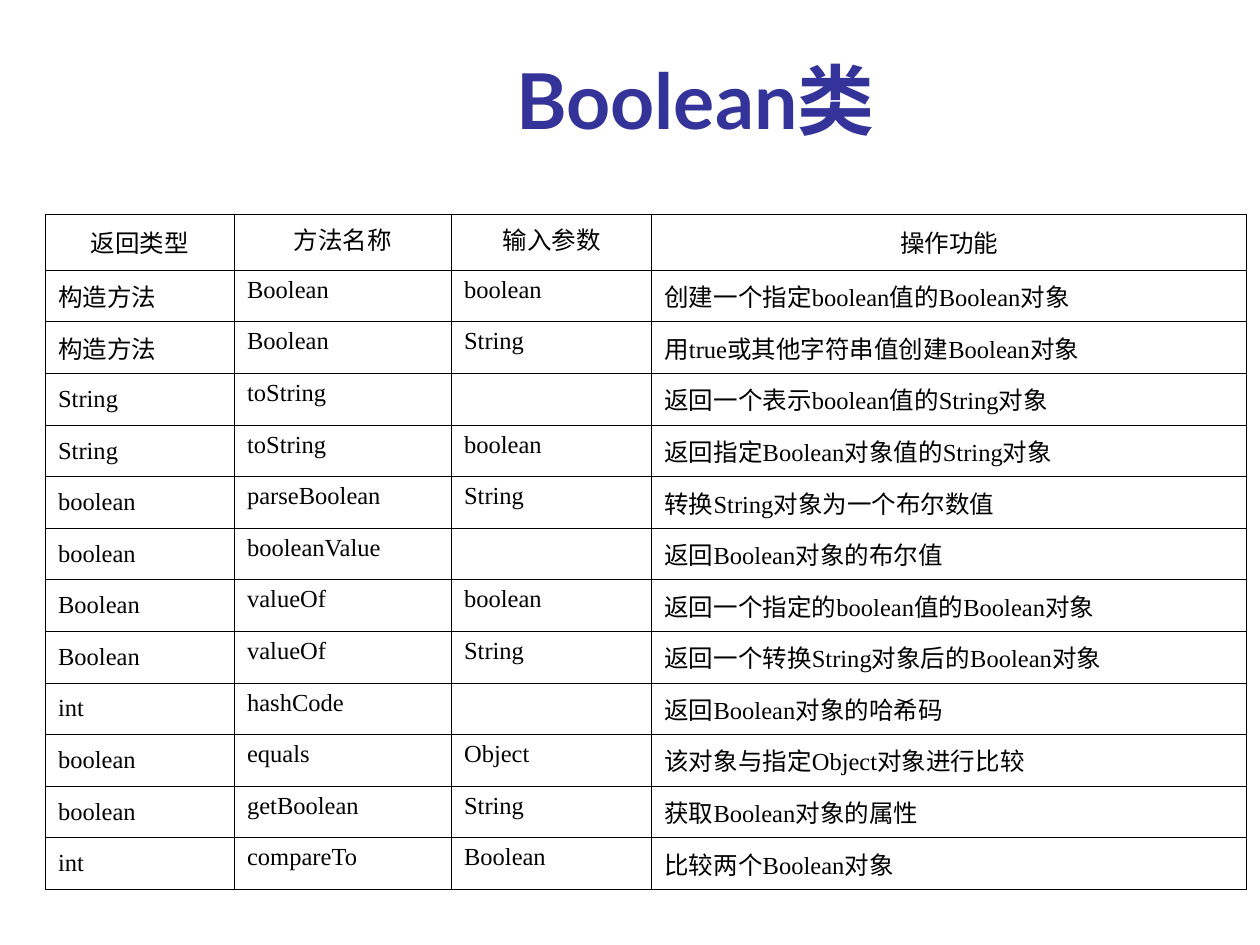
from pptx import Presentation
from pptx.dml.color import RGBColor
from pptx.enum.text import MSO_ANCHOR as Anchor, PP_ALIGN as Align
from pptx.oxml.ns import qn
from pptx.util import Pt
from lxml.etree import SubElement

METHODS = [
    ("返回类型", "方法名称", "输入参数", "操作功能"),
    ("构造方法", "Boolean", "boolean", "创建一个指定boolean值的Boolean对象"),
    ("构造方法", "Boolean", "String", "用true或其他字符串值创建Boolean对象"),
    ("String", "toString", "", "返回一个表示boolean值的String对象"),
    ("String", "toString", "boolean", "返回指定Boolean对象值的String对象"),
    ("boolean", "parseBoolean", "String", "转换String对象为一个布尔数值"),
    ("boolean", "booleanValue", "", "返回Boolean对象的布尔值"),
    ("Boolean", "valueOf", "boolean", "返回一个指定的boolean值的Boolean对象"),
    ("Boolean", "valueOf", "String", "返回一个转换String对象后的Boolean对象"),
    ("int", "hashCode", "", "返回Boolean对象的哈希码"),
    ("boolean", "equals", "Object", "该对象与指定Object对象进行比较"),
    ("boolean", "getBoolean", "String", "获取Boolean对象的属性"),
    ("int", "compareTo", "Boolean", "比较两个Boolean对象"),
]
COLUMN_WIDTHS = [108, 124, 114.5, 340]
COLUMN_ANCHORS = [Anchor.MIDDLE, Anchor.TOP, Anchor.TOP, Anchor.MIDDLE]
HEADER_HEIGHT = 32
ROW_HEIGHT = 29.5


def color(value):
    return RGBColor.from_string(value)


def write(frame, text, font, size, fill, bold=False, align=Align.LEFT, hanging=0):
    paragraph = frame.paragraphs[0]
    paragraph.alignment = align
    if hanging:
        properties = paragraph._p.get_or_add_pPr()
        properties.set("marL", str(Pt(hanging)))
        properties.set("indent", str(-Pt(hanging)))
    run = paragraph.add_run()
    run.text = text
    run.font.name = font
    run.font.size = Pt(size)
    run.font.bold = bold
    run.font.color.rgb = color(fill)


class SlideBuilder:
    title_font = "Lato"
    body_font = "Times New Roman"
    title_color = "333399"
    ink = "000000"
    border_width = 0.45

    def __init__(self, slide):
        self.slide = slide

    def title(self, text, left, top, width, height):
        box = self.slide.shapes.add_textbox(Pt(left), Pt(top), Pt(width), Pt(height))
        frame = box.text_frame
        frame.word_wrap = True
        frame.vertical_anchor = Anchor.BOTTOM
        write(frame, text, self.title_font, 44, self.title_color,
              bold=True, align=Align.CENTER)

    def border(self, cell):
        properties = cell._tc.get_or_add_tcPr()
        for side in ("a:lnL", "a:lnR", "a:lnT", "a:lnB"):
            line = SubElement(properties, qn(side), w=str(Pt(self.border_width)))
            fill = SubElement(line, qn("a:solidFill"))
            SubElement(fill, qn("a:srgbClr"), val=self.ink)

    def table(self, rows, left, top, widths, heights, anchors):
        table = self.slide.shapes.add_table(
            len(rows), len(widths), Pt(left), Pt(top),
            Pt(sum(widths)), Pt(sum(heights))).table
        table.first_row = False
        table.horz_banding = False
        for column, width in zip(table.columns, widths):
            column.width = Pt(width)
        for row, height in zip(table.rows, heights):
            row.height = Pt(height)
        for row_index, texts in enumerate(rows):
            align = Align.LEFT if row_index else Align.CENTER
            for column_index, text in enumerate(texts):
                cell = table.cell(row_index, column_index)
                cell.vertical_anchor = anchors[column_index]
                self.border(cell)
                cell.fill.background()
                if text:
                    write(cell.text_frame, text, self.body_font, 14, self.ink,
                          align=align, hanging=27)


def main():
    presentation = Presentation()
    presentation.slide_width = Pt(720)
    presentation.slide_height = Pt(540)
    builder = SlideBuilder(presentation.slides.add_slide(presentation.slide_layouts[6]))
    builder.title("Boolean类", 91, 26, 613, 60.5)
    heights = [HEADER_HEIGHT] + [ROW_HEIGHT] * (len(METHODS) - 1)
    builder.table(METHODS, 26, 122.4, COLUMN_WIDTHS, heights, COLUMN_ANCHORS)
    presentation.save("out.pptx")


if __name__ == "__main__":
    main()
